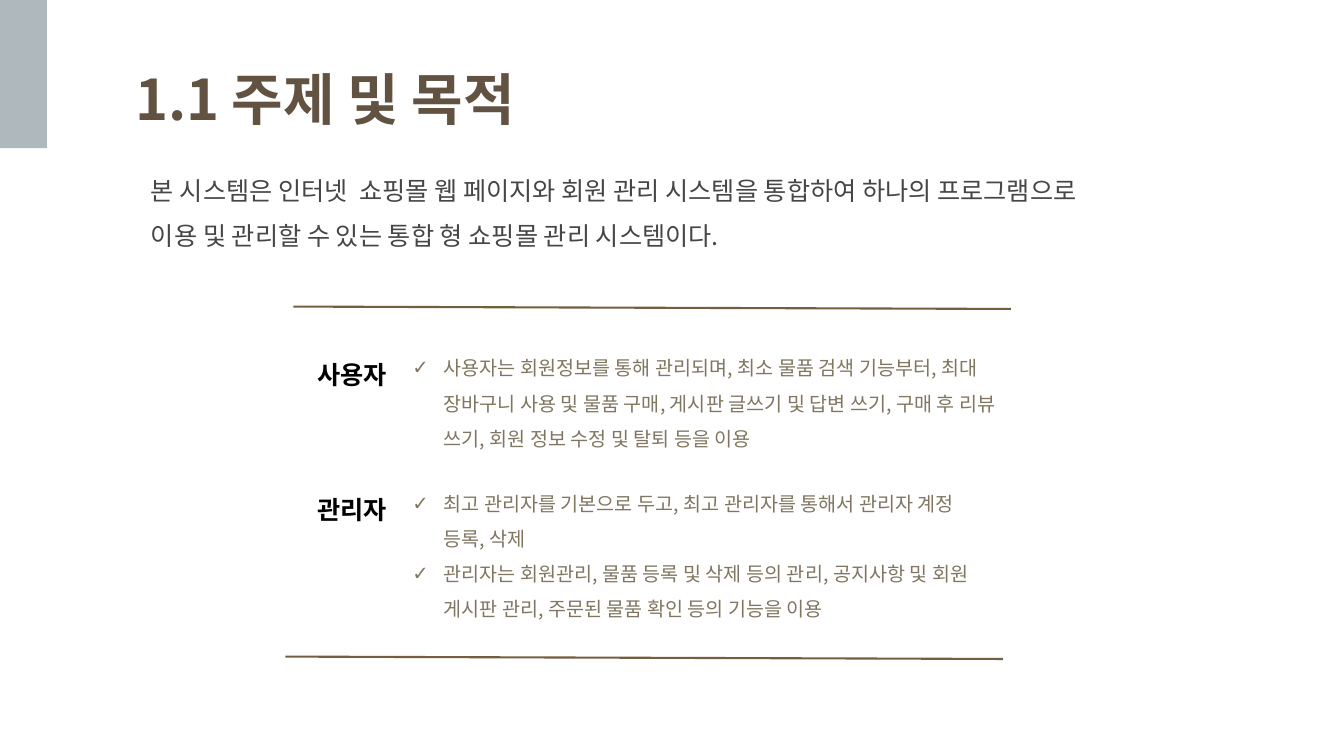
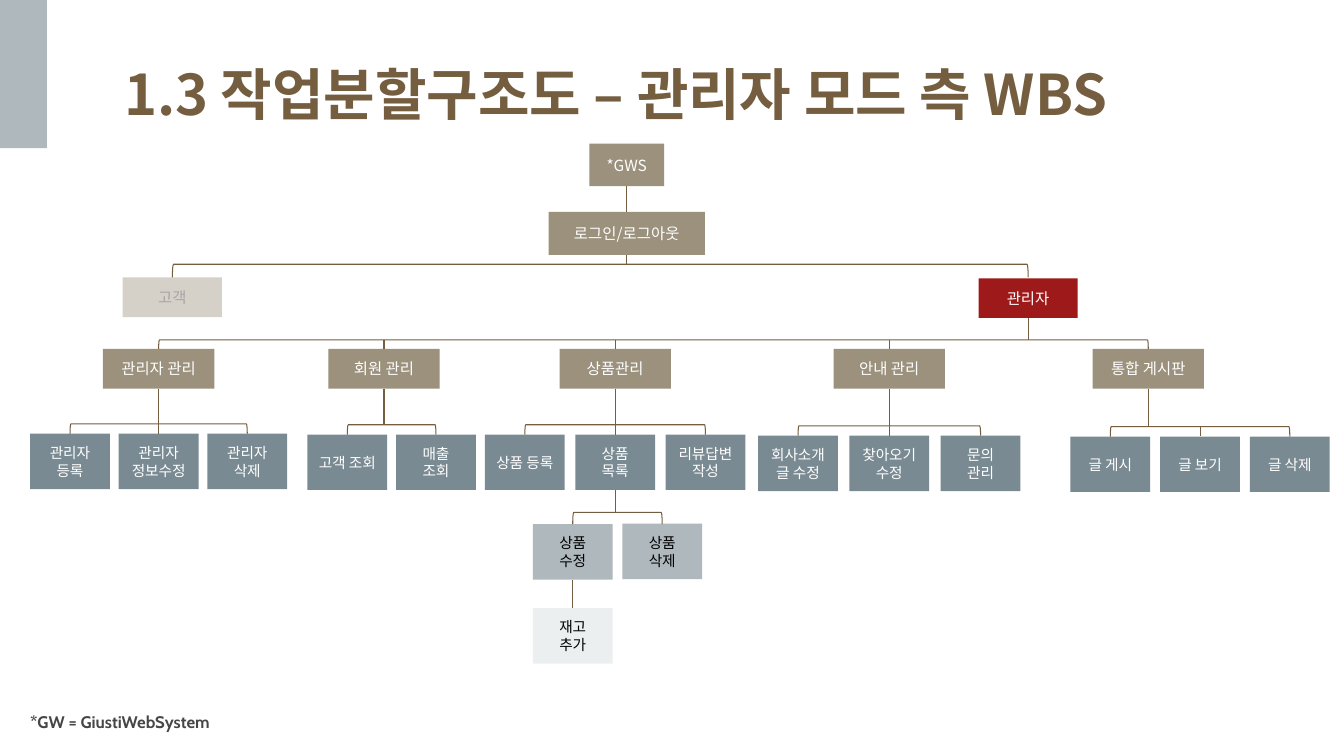
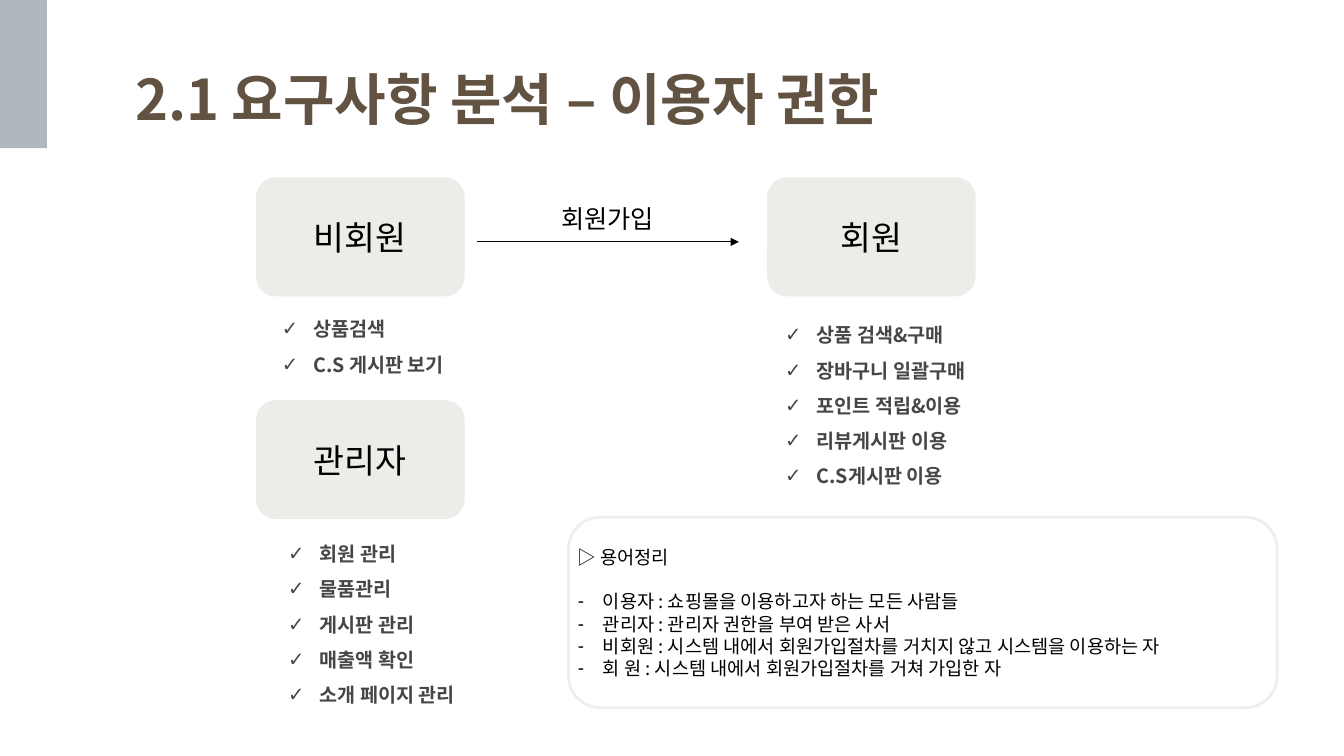
from lxml.etree import SubElement
from pptx import Presentation
from pptx.dml.color import RGBColor
from pptx.enum.shapes import MSO_CONNECTOR, MSO_SHAPE
from pptx.enum.text import MSO_ANCHOR, MSO_AUTO_SIZE, PP_ALIGN
from pptx.oxml.ns import qn
from pptx.util import Pt

KOREAN = "Noto Sans CJK KR"
BROWN, DEEP_BROWN, TAUPE, SAND = "745E3F", "625242", "9B917D", "807662"
SLATE, MIST, PALE, CARD = "7A8A92", "AEB8BD", "ECEFF0", "EEECE9"
INK, BLACK, WHITE = "464646", "000000", "FFFFFF"

BRANCH_TOP, BRANCH_SIZE, LEAF_SIZE = 249.3, (79.5, 28.3), (57, 39.6)
BRANCHES = [
    ("관리자 관리", 113.3, 50, 63.3, 309.8, ["관리자 등록", "관리자 정보수정", "관리자 삭제"]),
    ("회원 관리", 274.3, 248.1, 63.3, 310.4, ["고객 조회", "매출\n조회"]),
    ("상품관리", 439.4, 374.9, 64.5, 310.4, ["상품 등록", "상품\n목록", "리뷰답변작성"]),
    ("안내 관리", 635.2, 570, 65.2, 311.2, ["회사소개 글 수정", "찾아오기\n수정", "문의\n관리"]),
    ("통합 게시판", 820.2, 793.1, 64.1, 311.8, ["글 게시", "글 보기", "글 삭제"]),
]


def rgb(code):
    return RGBColor.from_string(code)


def points(*values):
    return [Pt(value) for value in values]


def write(paragraph, text, size, color, bold=False, font=KOREAN):
    run = paragraph.add_run()
    run.text = text
    run.font.size = Pt(size)
    run.font.bold = bold
    run.font.color.rgb = rgb(color)
    run.font.name = font
    SubElement(run.font._element, qn("a:ea")).set("typeface", font)


def bullet(paragraph, mark, left, hang):
    properties = paragraph._p.get_or_add_pPr()
    properties.set("marL", str(Pt(left)))
    properties.set("indent", str(Pt(-hang)))
    SubElement(properties, qn("a:buFont")).set("typeface", "Arial")
    SubElement(properties, qn("a:buChar")).set("char", mark)


def fill_frame(frame, lines, size, color, bold=False, align=PP_ALIGN.LEFT,
               anchor=MSO_ANCHOR.TOP, spacing=None, font=KOREAN, mark=None, left=0, hang=0):
    frame.word_wrap = True
    frame.auto_size = MSO_AUTO_SIZE.NONE
    frame.vertical_anchor = anchor
    for index, line in enumerate(lines):
        paragraph = frame.add_paragraph() if index else frame.paragraphs[0]
        if mark:
            bullet(paragraph, mark, left, hang)
        paragraph.alignment = align
        paragraph.space_before = Pt(0)
        if spacing:
            paragraph.line_spacing = spacing
        write(paragraph, line, size, color, bold, font)


def place(item, box):
    item.left, item.top, item.width, item.height = points(*box)


def label(slide, box, text, size, color, **style):
    text_box = slide.shapes.add_textbox(*points(*box))
    fill_frame(text_box.text_frame, [text], size, color, **style)
    return text_box


def checklist(placeholder, box, lines, color, left, bold=False):
    place(placeholder, box)
    fill_frame(placeholder.text_frame, lines, 14, color, bold=bold, spacing=1.5,
               mark="✓", left=left, hang=22.3)


def panel(slide, kind, box, fill=None, outline=None, weight=0.75):
    shape = slide.shapes.add_shape(kind, *points(*box))
    shape.shadow.inherit = False
    if fill:
        shape.fill.solid()
        shape.fill.fore_color.rgb = rgb(fill)
    else:
        shape.fill.background()
    if outline:
        shape.line.color.rgb = rgb(outline)
        shape.line.width = Pt(weight)
    else:
        shape.line.fill.background()
    return shape


def rule(slide, start, end, color=BROWN, weight=0.75):
    line = slide.shapes.add_connector(MSO_CONNECTOR.STRAIGHT, *start, *end)
    line.line.color.rgb = rgb(color)
    line.line.width = Pt(weight)
    SubElement(line._element.spPr, qn("a:effectLst"))
    return line


def start_slide(deck, layout, title, box, color=DEEP_BROWN):
    slide = deck.slides.add_slide(deck.slide_layouts[layout])
    place(slide.shapes.title, box)
    fill_frame(slide.shapes.title.text_frame, [title], 40, color, bold=True)
    panel(slide, MSO_SHAPE.RECTANGLE, (0, 0, 33.5, 105.8), MIST)
    return slide


def role_row(slide, placeholder, box, role, duties):
    left, top, width, height = box
    label(slide, (left, top - 0.5, 68, 42), role, 18, BLACK, bold=True, spacing=1.5)
    checklist(placeholder, (left + 67.7, top, width - 67.7, height), duties, SAND, 22.3)


def purpose_slide(deck):
    slide = start_slide(deck, 3, "1.1 주제 및 목적", (89.3, 42.5, 400, 55.4))
    intro = label(slide, (100.8, 110.2, 684, 69),
                  "본 시스템은 인터넷  쇼핑몰 웹 페이지와 회원 관리 시스템을 통합하여 하나의 "
                  "프로그램으로 이용 및 관리할 수 있는 통합 형 쇼핑몰 관리 시스템이다.",
                  18, INK, anchor=MSO_ANCHOR.MIDDLE, spacing=1.5)
    intro.text_frame.margin_bottom = 0
    for left, top in ((209.5, 219), (203.8, 469)):
        rule(slide, points(left, top), points(left + 512.6, top + 1.7), weight=1.5)
    role_row(slide, slide.placeholders[1], (219.6, 242.5, 510.5, 80), "사용자", [
        "사용자는 회원정보를 통해 관리되며, 최소 물품 검색 기능부터, 최대 장바구니 사용 및 "
        "물품 구매, 게시판 글쓰기 및 답변 쓰기, 구매 후 리뷰 쓰기, 회원 정보 수정 및 탈퇴 등을 이용"])
    role_row(slide, slide.placeholders[2], (219.6, 339.1, 489.6, 109), "관리자", [
        "최고 관리자를 기본으로 두고, 최고 관리자를 통해서 관리자 계정 등록, 삭제",
        "관리자는 회원관리, 물품 등록 및 삭제 등의 관리, 공지사항 및 회원 게시판 관리, "
        "주문된 물품 확인 등의 기능을 이용"])


def node(slide, center, top, size, text, fill=TAUPE, color=WHITE, text_size=11):
    width, height = size
    shape = panel(slide, MSO_SHAPE.RECTANGLE, (center - width / 2, top, width, height), fill)
    fill_frame(shape.text_frame, text.split("\n"), text_size, color,
               align=PP_ALIGN.CENTER, anchor=MSO_ANCHOR.MIDDLE)
    return shape


def leaf(slide, center, top, text, fill=SLATE, color=WHITE):
    return node(slide, center, top, LEAF_SIZE, text, fill, color, 10.5)


def middle(shape):
    return shape.left + shape.width // 2


def link(slide, parent, child):
    line = rule(slide, (middle(parent), parent.top + parent.height), (middle(child), child.top))
    line.begin_connect(parent, 2)
    line.end_connect(child, 0)


def family(slide, parent, children, drop):
    first, last = middle(children[0]), middle(children[-1])
    rail = children[0].top - Pt(drop)
    span, depth = (last - first) / 12700, drop
    left, top = first / 12700, rail / 12700
    bracket = panel(slide, MSO_SHAPE.LEFT_BRACKET,
                    (left + (span - depth) / 2, top + (depth - span) / 2, depth, span),
                    outline=BROWN)
    bracket.rotation = 90
    stem = rule(slide, (middle(parent), parent.top + parent.height), (middle(parent), rail))
    stem.begin_connect(parent, 2)
    for child in children[1:-1]:
        tick = rule(slide, (middle(child), rail), (middle(child), child.top))
        tick.end_connect(child, 0)


def branch(slide, name, center, first_leaf, step, leaf_top, leaf_names):
    head = node(slide, center, BRANCH_TOP, BRANCH_SIZE, name)
    leaves = [leaf(slide, first_leaf + step * index, leaf_top, text)
              for index, text in enumerate(leaf_names)]
    family(slide, head, leaves, 7)
    return head, leaves


def breakdown_slide(deck):
    slide = start_slide(deck, 5, "1.3 작업분할구조도 – 관리자 모드 측 WBS",
                        (81.4, 38.9, 870, 60), BROWN)
    root = node(slide, 447.7, 102.6, (53.3, 30.4), "*GWS")
    login = node(slide, 447.7, 151.3, (111.6, 30.8), "로그인/로그아웃")
    customer = node(slide, 123.1, 198.2, (70.8, 28.3), "고객", "D5D1C9", "A6A6A6")
    manager = node(slide, 734.4, 198.9, (70.8, 28.3), "관리자", "9E1A1A")
    link(slide, root, login)
    family(slide, login, [customer, manager], 9.4)

    branches = [branch(slide, *entry) for entry in BRANCHES]
    family(slide, manager, [head for head, leaves in branches], 6.5)

    product_list = branches[2][1][1]
    edit = leaf(slide, 409.1, 374.4, "상품\n수정", MIST, BLACK)
    delete = leaf(slide, 473, 374, "상품\n삭제", MIST, BLACK)
    stock = leaf(slide, 409.1, 434.4, "재고\n추가", PALE, BLACK)
    family(slide, product_list, [edit, delete], 8.4)
    link(slide, edit, stock)
    label(slide, (14.4, 504.7, 160, 22), "*GW = GiustiWebSystem", 12, INK, bold=True, font="Cabin")


def member_card(slide, placeholder, box, name, permissions, list_offset):
    left, top, width, height = box
    card = panel(slide, MSO_SHAPE.ROUNDED_RECTANGLE, box, CARD)
    fill_frame(card.text_frame, [name], 24, BLACK,
               align=PP_ALIGN.CENTER, anchor=MSO_ANCHOR.MIDDLE)
    shift, gap = list_offset
    checklist(placeholder, (left + shift, top + height + gap, 195, 7.2 + 25.5 * len(permissions)),
              permissions, INK, 44.6, bold=True)


def glossary(slide, box, heading, terms):
    frame = panel(slide, MSO_SHAPE.ROUNDED_RECTANGLE, box, outline=PALE, weight=2).text_frame
    frame.margin_left = frame.margin_top = frame.margin_right = frame.margin_bottom = 0
    fill_frame(frame, [heading, *terms], 13.3, BLACK, anchor=MSO_ANCHOR.MIDDLE)
    frame.paragraphs[0].space_after = Pt(16)
    for paragraph in frame.paragraphs[1:]:
        bullet(paragraph, "-", 18, 18)


def signup_arrow(slide, left, top, width, text):
    arrow = rule(slide, points(left, top), points(left + width, top), BLACK)
    SubElement(arrow.line._get_or_add_ln(), qn("a:tailEnd")).set("type", "triangle")
    label(slide, (left + 38, top - 31, 111, 29), text, 18, BLACK, align=PP_ALIGN.CENTER)


def permission_slide(deck):
    slide = start_slide(deck, 4, "2.1 요구사항 분석 – 이용자 권한", (89.3, 42.5, 708, 55.4))
    guest, member, manager, spare = list(slide.placeholders)[1:5]
    spare._element.getparent().remove(spare._element)
    card_size = (149, 85)
    member_card(slide, guest, (182.9, 126.7, *card_size), "비회원",
                ["상품검색", "C.S 게시판 보기"], (-11, 2.9))
    member_card(slide, member, (547.9, 126.7, *card_size), "회원",
                ["상품 검색&구매", "장바구니 일괄구매", "포인트 적립&이용",
                 "리뷰게시판 이용", "C.S게시판 이용"], (-16.5, 7.2))
    member_card(slide, manager, (182.9, 285.8, *card_size), "관리자",
                ["회원 관리", "물품관리", "게시판 관리", "매출액 확인", "소개 페이지 관리"],
                (-6.5, 4.3))
    signup_arrow(slide, 340.6, 172.8, 187.2, "회원가입")
    glossary(slide, (406.1, 369.4, 506.2, 136.1), "▷ 용어정리", [
        "이용자 : 쇼핑몰을 이용하고자 하는 모든 사람들",
        "관리자 : 관리자 권한을 부여 받은 사서",
        "비회원 : 시스템 내에서 회원가입절차를 거치지 않고 시스템을 이용하는 자",
        "회 원 : 시스템 내에서 회원가입절차를 거쳐 가입한 자"])


def main():
    deck = Presentation()
    deck.slide_width, deck.slide_height = points(960, 540)
    purpose_slide(deck)
    breakdown_slide(deck)
    permission_slide(deck)
    deck.save("out.pptx")


if __name__ == "__main__":
    main()
